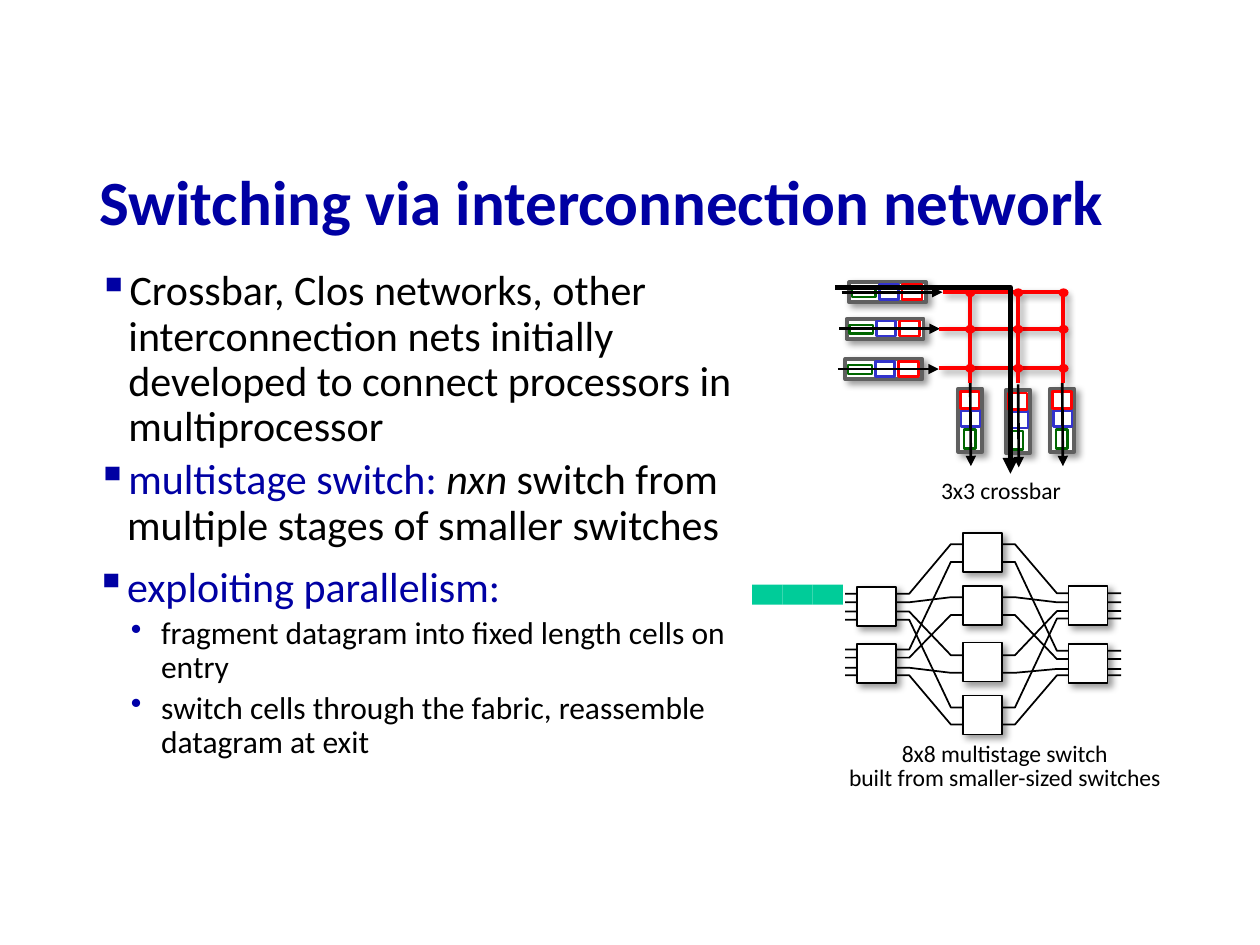
from lxml import etree
from pptx import Presentation
from pptx import util as u
from pptx.dml.color import RGBColor
from pptx.enum import shapes, text
from pptx.oxml import ns

Pt = u.Pt
FONT = "Calibri"
COLORS = {
    "navy": "0000A3", "bullet": "0000A8", "black": "000000", "white": "FFFFFF",
    "gray": "5F5F5F", "green": "006600", "blue": "3333CC", "red": "FF0000",
    "teal": "00CC99",
}

# Queue layouts: frame size, cell boxes and arrow ends relative to the frame
INPUT_QUEUE = {
    "frame": (44, 11.5), "rotation": 0, "arrow": (-4.3, 5.7, 53.3, 5.7),
    "cells": {"green": (1.5, 3.5, 13.7, 5), "blue": (17.2, 1.3, 10.8, 8.6),
              "red": (30.2, 1.3, 11.5, 8.6)},
}
OUTPUT_QUEUE = {
    "frame": (36, 13.7), "rotation": 90, "arrow": (18, -14.4, 18.4, 33.1),
    "cells": {"green": (12.2, 14.4, 10.8, 6.5), "blue": (13.5, 0.5, 9.4, 10.8),
              "red": (13, -10.1, 9.4, 10.8)},
}
INPUT_PLACES = [(485.3, 161.3), (483.8, 182.2), (483.1, 205.2)]
OUTPUT_PLACES = [(589, 233.3), (563.8, 234), (536.4, 233.3)]
GRID_X = [554.4, 581.8, 607.7]
GRID_Y = [167, 187.9, 210.2]
GRID_STARTS = [538.6, 536.4, 536.4]

# Each wire runs level at the input, middle and output stage
WIRE_X = [483, 519.6, 543.4, 580, 604, 640.6]
WIRE_Y = [
    (339.3, 311, 339.1), (385.9, 414, 385.9), (344.2, 341.3, 344.2),
    (381.6, 384.5, 382.3), (349.5, 374.4, 349.2), (375.8, 351.4, 376.6),
    (354.2, 404.3, 353.5), (371.2, 321.1, 371.9),
]
SWITCH_COLUMNS = {489.6: [335.5, 367.9], 550.1: [304.6, 334.8, 367.2, 397.4],
                  610.6: [367.9, 334.8]}
SWITCH_SIZE = 22.3


def rgb(name):
    return RGBColor.from_string(COLORS[name])


def set_line(shape, color, width, arrow=False):
    shape.line.color.rgb = rgb(color)
    shape.line.width = Pt(width)
    if arrow:
        line = shape._element.spPr.find(ns.qn("a:ln"))
        etree.SubElement(line, ns.qn("a:tailEnd"), type="triangle")


def set_shadow(shape, visible):
    properties = shape._element.spPr
    effects = properties.find(ns.qn("a:effectLst"))
    if effects is None:
        effects = etree.SubElement(properties, ns.qn("a:effectLst"))
    if visible:
        shadow = etree.SubElement(
            effects, ns.qn("a:outerShdw"), blurRad=str(Pt(4)), dist=str(Pt(3)),
            dir="2700000", algn="ctr", rotWithShape="0")
        color = etree.SubElement(shadow, ns.qn("a:srgbClr"), val=COLORS["black"])
        etree.SubElement(color, ns.qn("a:alpha"), val="40000")


def add_box(parent, box, fill, line=None, width=1, shadow=False, rotation=0,
            kind=shapes.MSO_SHAPE.RECTANGLE):
    shape = parent.shapes.add_shape(kind, *map(Pt, box))
    shape.shadow.inherit = False
    shape.rotation = rotation
    shape.fill.solid()
    shape.fill.fore_color.rgb = rgb(fill)
    if line:
        set_line(shape, line, width)
    else:
        shape.line.fill.background()
    set_shadow(shape, shadow)


def add_straight(parent, ends, color, width, arrow=False, shadow=False):
    connector = parent.shapes.add_connector(
        shapes.MSO_CONNECTOR.STRAIGHT, *map(Pt, ends))
    set_line(connector, color, width, arrow)
    set_shadow(connector, shadow)


def add_polyline(parent, points, width, arrow=False):
    points = [(Pt(x), Pt(y)) for x, y in points]
    builder = parent.shapes.build_freeform(*points[0])
    builder.add_line_segments(points[1:], close=False)
    shape = builder.convert_to_shape()
    shape.shadow.inherit = False
    shape.fill.background()
    set_line(shape, "black", width, arrow)


def add_queue(parent, place, layout):
    """Draw a buffer with three cells and the arrow running through it."""
    left, top = place
    rotation = layout["rotation"]
    add_box(parent, (left, top, *layout["frame"]), "white", "gray", 2.25,
            True, rotation)
    for color, (x, y, width, height) in layout["cells"].items():
        add_box(parent, (left + x, top + y, width, height), "white", color, 1.5,
                rotation=rotation)
    x1, y1, x2, y2 = layout["arrow"]
    add_straight(parent, (left + x1, top + y1, left + x2, top + y2),
                 "black", 1.5, arrow=True)


def add_text_frame(parent, box, inset=(7.2, 3.6), wrap=True):
    frame = parent.shapes.add_textbox(*map(Pt, box)).text_frame
    frame.word_wrap = wrap
    frame.margin_left = frame.margin_right = Pt(inset[0])
    frame.margin_top = frame.margin_bottom = Pt(inset[1])
    return frame


def add_paragraph(frame, runs, size, spacing=0.9):
    """Fill the next paragraph with (text, colour, italic) runs."""
    first = not frame.paragraphs[0].runs
    paragraph = frame.paragraphs[0] if first else frame.add_paragraph()
    paragraph.line_spacing = spacing
    for words, color, italic in runs:
        run = paragraph.add_run()
        run.text = words
        run.font.color.rgb = rgb(color)
        if italic:
            run.font.italic = True
    paragraph.font.size = Pt(size)
    paragraph.font.name = FONT
    return paragraph


def add_bullet(frame, runs, level=0):
    indent, size, mark, color = [(20.9, 24, "▪", "navy"),
                                 (41, 18, "•", "bullet")][level]
    paragraph = add_paragraph(frame, runs, size)
    paragraph.level = level
    if level:
        paragraph.space_before = Pt(3.8)
    properties = paragraph._p.get_or_add_pPr()
    properties.set("marL", str(Pt(indent)))
    properties.set("indent", str(Pt(-17.3)))
    bullet_color = etree.Element(ns.qn("a:buClr"))
    etree.SubElement(bullet_color, ns.qn("a:srgbClr"), val=COLORS[color])
    bullet = etree.Element(ns.qn("a:buChar"), char=mark)
    font_defaults = properties.find(ns.qn("a:defRPr"))
    font_defaults.addprevious(bullet_color)
    font_defaults.addprevious(bullet)


def add_caption(parent, box, lines):
    frame = add_text_frame(parent, box, wrap=False)
    frame.auto_size = text.MSO_AUTO_SIZE.SHAPE_TO_FIT_TEXT
    for line in lines:
        paragraph = add_paragraph(frame, [(line, "black", False)], 13.5, 0.85)
        paragraph.alignment = text.PP_ALIGN.CENTER


def add_crossbar(slide):
    group = slide.shapes.add_group_shape()
    for place in INPUT_PLACES:
        add_queue(group, place, INPUT_QUEUE)
    for place in OUTPUT_PLACES:
        add_queue(group, place, OUTPUT_QUEUE)
    for start, y in zip(GRID_STARTS, GRID_Y):
        add_straight(group, (start, y, 608, y), "red", 2.25, shadow=True)
    for x in GRID_X:
        add_straight(group, (x, 218.8, x, 167), "red", 2.25, shadow=True)
    for x in GRID_X:
        for y in GRID_Y:
            add_box(group, (x - 2.9, y - 2.2, 5.8, 5), "red",
                    kind=shapes.MSO_SHAPE.OVAL)
    add_polyline(group, [(477.4, 164.2), (577.4, 164.2), (577.4, 270.7)], 3, True)


def add_multistage(slide):
    group = slide.shapes.add_group_shape()
    for levels in WIRE_Y:
        heights = [y for y in levels for _ in range(2)]
        add_polyline(group, list(zip(WIRE_X, heights)), 1)
    for left, tops in SWITCH_COLUMNS.items():
        for top in tops:
            add_box(group, (left, top, SWITCH_SIZE, SWITCH_SIZE),
                    "white", "black", 1, shadow=True)
    add_caption(group, (476.6, 421.2, 195.1, 35.3),
                ["8x8 multistage switch", "built from smaller-sized switches"])


def main():
    presentation = Presentation()
    presentation.slide_width, presentation.slide_height = Pt(720), Pt(540)
    slide = presentation.slides.add_slide(presentation.slide_layouts[6])

    body = add_text_frame(slide, (45.4, 150.5, 382.3, 301))
    add_bullet(body, [("Crossbar, Clos networks, other interconnection nets initially "
                       "developed to connect processors in multiprocessor",
                       "black", False)])
    title = add_text_frame(slide, (49.7, 90.7, 620.6, 52.6))
    title.vertical_anchor = text.MSO_ANCHOR.MIDDLE
    add_paragraph(title, [("Switching via interconnection network", "navy", False)],
                  36).font.bold = True

    add_crossbar(slide)
    add_multistage(slide)

    multistage = add_text_frame(slide, (46.8, 259.2, 382.3, 64.8), (5, 2.9))
    add_bullet(multistage, [("multistage switch: ", "navy", False),
                            ("nxn", "black", True),
                            (" switch from multiple stages of smaller switches",
                             "black", False)])
    parallelism = add_text_frame(slide, (46.1, 320.4, 382.3, 125.3), (5, 2.9))
    add_bullet(parallelism, [("exploiting parallelism:", "navy", False)])
    for words in ("fragment datagram into fixed length cells on entry",
                  "switch cells through the fabric, reassemble datagram at exit"):
        add_bullet(parallelism, [(words, "black", False)], level=1)

    add_caption(slide, (529.9, 270.7, 84.2, 21.6), ["3x3 crossbar"])
    for index in range(3):
        add_box(slide, (429.8 + 17.3 * index, 334.1, 17.3, 11.5), "teal")
    presentation.save("out.pptx")


if __name__ == "__main__":
    main()
